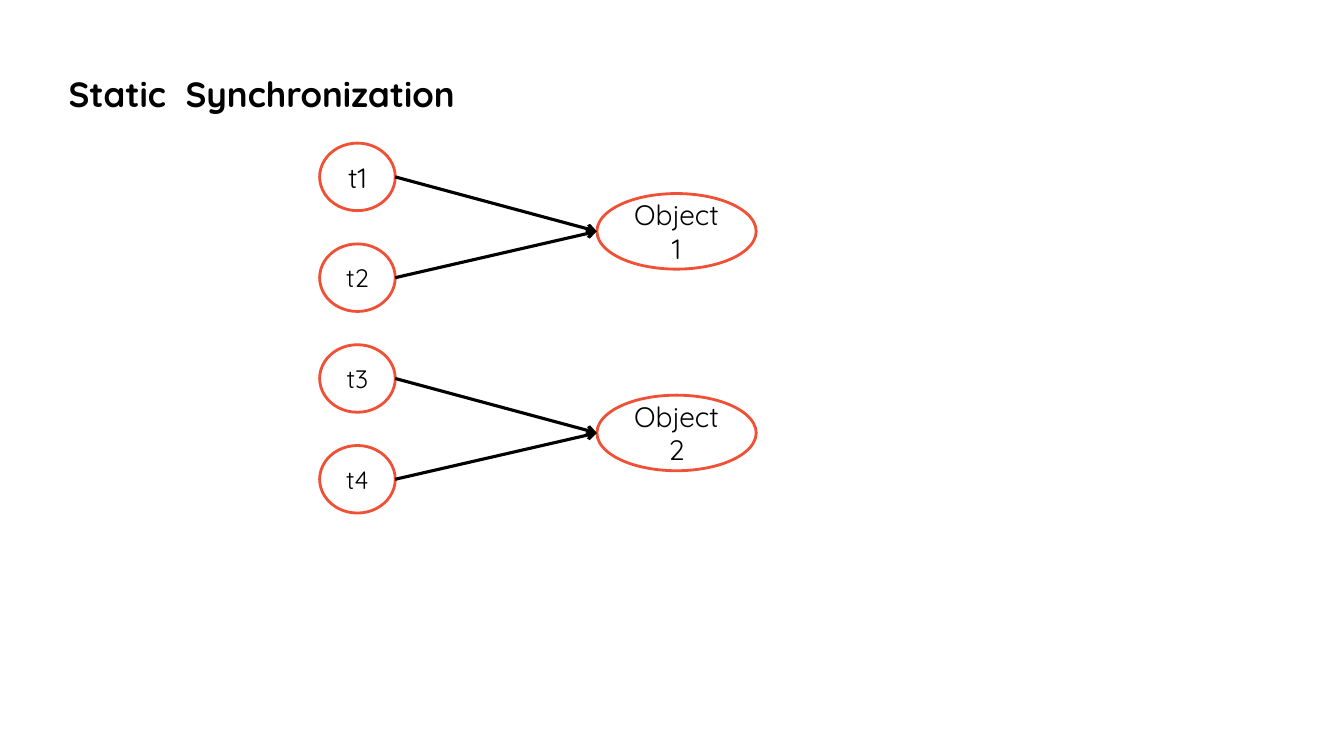
"""Build the Static Synchronization slide: four threads locking two objects."""
from lxml.etree import SubElement
from pptx import Presentation
from pptx.dml.color import RGBColor
from pptx.enum.shapes import MSO_CONNECTOR, MSO_SHAPE
from pptx.enum.text import MSO_ANCHOR, MSO_AUTO_SIZE, PP_ALIGN
from pptx.oxml.ns import qn
from pptx.util import Inches, Pt


def color(value):
    return RGBColor.from_string(value)


def add_text(shape, text, size, alignment, anchor, bold=False):
    frame = shape.text_frame
    frame.word_wrap = True
    frame.vertical_anchor = anchor
    paragraph = frame.paragraphs[0]
    paragraph.alignment = alignment
    run = paragraph.add_run()
    run.text = text
    run.font.name = "Quicksand"
    run.font.size = Pt(size)
    run.font.bold = bold
    run.font.color.rgb = color("000000")


presentation = Presentation()
presentation.slide_width = Inches(13.33)
presentation.slide_height = Inches(7.5)
slide = presentation.slides.add_slide(presentation.slide_layouts[5])

title = slide.shapes.title
title.left, title.top = Inches(0.58), Inches(0.67)
title.width, title.height = Inches(12.09), Inches(0.52)
add_text(title, "Static  Synchronization", 25, PP_ALIGN.LEFT, MSO_ANCHOR.TOP, bold=True)
title.text_frame.auto_size = MSO_AUTO_SIZE.SHAPE_TO_FIT_TEXT

threads = [(f"t{row + 1}", 18 if row else 20, 3.17, 1.42 + row, 0.75, 0.67) for row in range(4)]
objects = [(f"Object{row + 1}", 20, 5.92, 1.92 + 2 * row, 1.58, 0.75) for row in range(2)]
ellipses = []
for label, size, left, top, width, height in threads + objects:
    ellipse = slide.shapes.add_shape(
        MSO_SHAPE.OVAL, Inches(left), Inches(top), Inches(width), Inches(height)
    )
    ellipse.shadow.inherit = False
    if label == "t1":
        ellipse.fill.background()
    else:
        ellipse.fill.solid()
        ellipse.fill.fore_color.rgb = color("FFFFFF")
    ellipse.line.color.rgb = color("F05136")
    ellipse.line.width = Pt(2)
    add_text(ellipse, label, size, PP_ALIGN.CENTER, MSO_ANCHOR.MIDDLE)
    ellipses.append(ellipse)

thread_ellipses, object_ellipses = ellipses[:4], ellipses[4:]
for index, thread in enumerate(thread_ellipses):
    target = object_ellipses[index // 2]
    arrow = slide.shapes.add_connector(
        MSO_CONNECTOR.STRAIGHT,
        thread.left + thread.width,
        thread.top + thread.height // 2,
        target.left,
        target.top + target.height // 2,
    )
    arrow.line.color.rgb = color("000000")
    arrow.line.width = Pt(2.25)
    properties = arrow.element.spPr
    SubElement(properties.find(qn("a:ln")), qn("a:tailEnd"), type="arrow")
    SubElement(properties, qn("a:effectLst"))

presentation.save("out.pptx")
